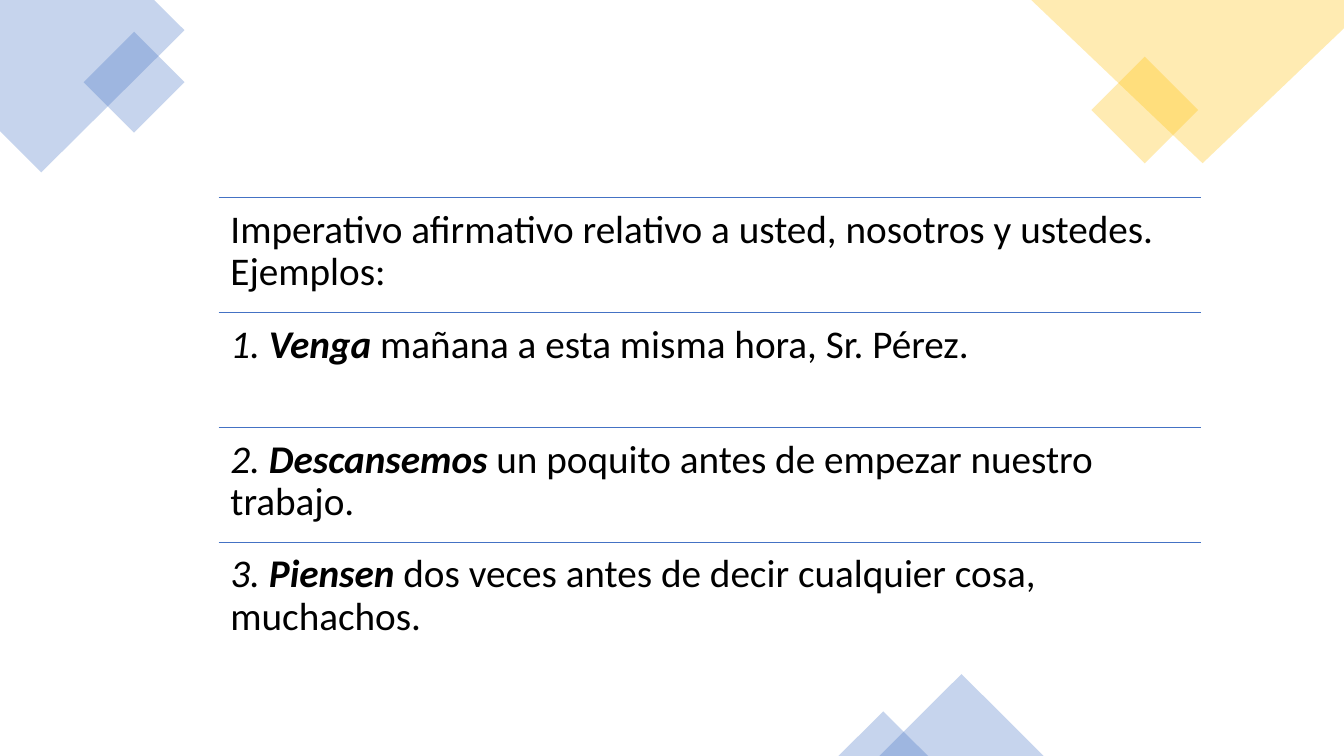
"""Build a Spanish grammar slide with example commands between ruled lines."""
from dataclasses import dataclass

import pptx
import pptx.dml.color
import pptx.enum.shapes
import pptx.enum.text
import pptx.oxml
import pptx.oxml.ns
import pptx.util

Pt = pptx.util.Pt
Preset = pptx.enum.shapes.MSO_SHAPE
BLUE = pptx.dml.color.RGBColor(0x44, 0x72, 0xC4)
GOLD = pptx.dml.color.RGBColor(0xFF, 0xC0, 0x00)
BLACK = pptx.dml.color.RGBColor(0, 0, 0)

ROW_LEFT, ROW_TOP, ROW_WIDTH, ROW_HEIGHT = 156.2, 141.1, 702, 82.1
INSET = 8.4


@dataclass(frozen=True)
class Corner:
    points: tuple[tuple[float, float], ...]
    color: pptx.dml.color.RGBColor


@dataclass(frozen=True)
class Ornament:
    preset: Preset
    left: float
    top: float
    width: float
    height: float
    color: pptx.dml.color.RGBColor
    rotation: float = 0


@dataclass(frozen=True)
class Example:
    number: str
    verb: str
    rest: str


CORNERS = (
    Corner(((110.2, 0), (0, 0), (0, 93.6), (29.5, 123.1), (131.8, 21.6)), BLUE),
    Corner(((960, 0), (736.6, 0), (859, 116.6), (960, 20.2)), GOLD),
)
ORNAMENTS = (
    Ornament(Preset.RECTANGLE, 70.3, 33.2, 51, 51, BLUE, 315),
    Ornament(Preset.RECTANGLE, 790.7, 51.6, 54, 54, GOLD, 315),
    Ornament(Preset.ISOSCELES_TRIANGLE, 628.1, 481.5, 117.4, 58.5, BLUE),
    Ornament(Preset.ISOSCELES_TRIANGLE, 598.9, 508.2, 64, 31.8, BLUE),
)
EXAMPLES = (
    Example("", "", "Imperativo afirmativo relativo a usted, nosotros y ustedes. Ejemplos:"),
    Example("1. ", "Venga ", "mañana a esta misma hora, Sr. Pérez."),
    Example("2. ", "Descansemos ", "un poquito antes de empezar nuestro trabajo."),
    Example("3. ", "Piensen ", "dos veces antes de decir cualquier cosa, muchachos."),
)


def tint(shape, color: pptx.dml.color.RGBColor) -> None:
    shape.shadow.inherit = False
    shape.line.fill.background()
    shape.fill.solid()
    shape.fill.fore_color.rgb = color
    swatch = shape.fill._xPr.find(".//" + pptx.oxml.ns.qn("a:srgbClr"))
    swatch.append(pptx.oxml.parse_xml(
        f'<a:alpha {pptx.oxml.ns.nsdecls("a")} val="30000"/>'))


def draw_corner(slide, corner: Corner) -> None:
    points = [(Pt(x), Pt(y)) for x, y in corner.points]
    builder = slide.shapes.build_freeform(*points[0])
    builder.add_line_segments(points[1:], close=True)
    tint(builder.convert_to_shape(), corner.color)


def draw_ornament(slide, ornament: Ornament) -> None:
    shape = slide.shapes.add_shape(
        ornament.preset, Pt(ornament.left), Pt(ornament.top),
        Pt(ornament.width), Pt(ornament.height))
    shape.rotation = ornament.rotation
    tint(shape, ornament.color)


def draw_example(slide, example: Example, top: float) -> None:
    rule = slide.shapes.add_connector(
        pptx.enum.shapes.MSO_CONNECTOR.STRAIGHT,
        Pt(ROW_LEFT), Pt(top), Pt(ROW_LEFT + ROW_WIDTH), Pt(top))
    rule.line.color.rgb = BLUE
    rule.line.width = Pt(1)
    rule._element.spPr.append(pptx.oxml.parse_xml(
        f'<a:effectLst {pptx.oxml.ns.nsdecls("a")}/>'))

    sentence = slide.shapes.add_textbox(
        Pt(ROW_LEFT), Pt(top), Pt(ROW_WIDTH), Pt(ROW_HEIGHT))
    frame = sentence.text_frame
    frame.word_wrap = True
    frame.vertical_anchor = pptx.enum.text.MSO_ANCHOR.TOP
    frame.margin_left = frame.margin_right = Pt(INSET)
    frame.margin_top = frame.margin_bottom = Pt(INSET)
    paragraph = frame.paragraphs[0]
    paragraph.line_spacing = 0.9
    styled_parts = ((example.number, False, True),
                    (example.verb, True, True),
                    (example.rest, False, False))
    for wording, bold, italic in styled_parts:
        if wording:
            run = paragraph.add_run()
            run.text = wording
            run.font.name = "Calibri"
            run.font.size = Pt(28)
            run.font.color.rgb = BLACK
            run.font.bold = bold
            run.font.italic = italic


def main() -> None:
    presentation = pptx.Presentation()
    presentation.slide_width = Pt(960)
    presentation.slide_height = Pt(540)
    slide = presentation.slides.add_slide(presentation.slide_layouts[6])
    for corner in CORNERS:
        draw_corner(slide, corner)
    for ornament in ORNAMENTS:
        draw_ornament(slide, ornament)
    for index, example in enumerate(EXAMPLES):
        draw_example(slide, example, ROW_TOP + index * ROW_HEIGHT)
    presentation.save("out.pptx")


if __name__ == "__main__":
    main()
